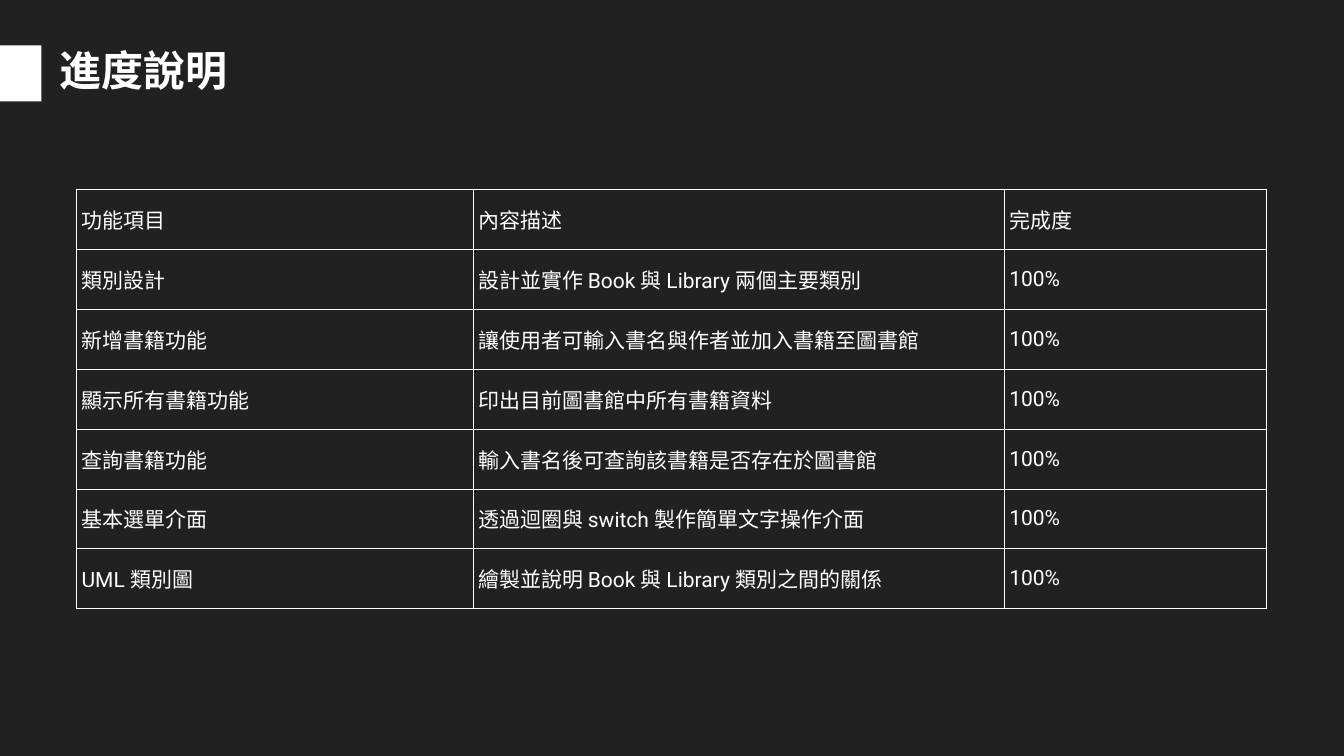
from dataclasses import dataclass

from lxml.etree import SubElement
from pptx import Presentation
from pptx.dml.color import RGBColor
from pptx.enum.shapes import MSO_SHAPE
from pptx.enum.text import MSO_ANCHOR, MSO_AUTO_SIZE
from pptx.oxml import parse_xml
from pptx.oxml.ns import nsdecls, qn
from pptx.slide import Slide
from pptx.table import _Cell
from pptx.text.text import _Paragraph
from pptx.util import Inches, Pt

COLORS = {"background": "212121", "foreground": "FFFFFF"}
CJK_FONT = "Noto Sans CJK SC"
COLUMN_WIDTHS = (7.87, 10.54, 5.2)
ROW_HEIGHT = 1.19
HEADERS = ("功能項目", "內容描述", "完成度")


@dataclass(frozen=True)
class Feature:
    """One feature of the project and its progress."""

    name: str
    description: str
    progress: str = "100%"


FEATURES = (
    Feature("類別設計", "設計並實作 Book 與 Library 兩個主要類別"),
    Feature("新增書籍功能", "讓使用者可輸入書名與作者並加入書籍至圖書館"),
    Feature("顯示所有書籍功能", "印出目前圖書館中所有書籍資料"),
    Feature("查詢書籍功能", "輸入書名後可查詢該書籍是否存在於圖書館"),
    Feature("基本選單介面", "透過迴圈與 switch 製作簡單文字操作介面"),
    Feature("UML 類別圖", "繪製並說明 Book 與 Library 類別之間的關係"),
)


def color(name: str) -> RGBColor:
    """Return a named colour."""
    return RGBColor.from_string(COLORS[name])


def format_text(paragraph: _Paragraph, size: int, font_name: str, bold: bool = False) -> None:
    """Apply the slide's text style to every run."""
    for run in paragraph.runs:
        font = run.font
        font.size, font.name, font.bold = Pt(size), font_name, bold
        font.color.rgb = color("foreground")
        SubElement(run._r.get_or_add_rPr(), qn("a:ea"), typeface=CJK_FONT)


def add_accent(slide: Slide) -> None:
    """Draw the block at the left edge beside the title."""
    shape = slide.shapes.add_shape(
        MSO_SHAPE.RECTANGLE, Inches(0), Inches(0.9), Inches(0.82), Inches(1.11)
    )
    shape.shadow.inherit = False
    shape.fill.solid()
    shape.fill.fore_color.rgb = color("foreground")
    shape.line.fill.background()


def add_title(slide: Slide, text: str) -> None:
    """Draw the slide title."""
    shape = slide.shapes.add_textbox(Inches(1.12), Inches(0.94), Inches(3.48), Inches(1.02))
    text_frame = shape.text_frame
    text_frame.text = text
    text_frame.word_wrap = False
    text_frame.auto_size = MSO_AUTO_SIZE.SHAPE_TO_FIT_TEXT
    text_frame.vertical_anchor = MSO_ANCHOR.MIDDLE
    text_frame.margin_left = text_frame.margin_right = Inches(0.06)
    text_frame.margin_top = text_frame.margin_bottom = Inches(0.06)
    paragraph = text_frame.paragraphs[0]
    paragraph.line_spacing = 0.9
    format_text(paragraph, 60, CJK_FONT, bold=True)


def add_borders(cell: _Cell) -> None:
    """Outline a cell on all four sides."""
    properties = cell._tc.get_or_add_tcPr()
    for index, side in enumerate(("lnL", "lnR", "lnT", "lnB")):
        border = parse_xml(
            f'<a:{side} {nsdecls("a")} w="{Pt(1)}"><a:solidFill>'
            f'<a:srgbClr val="{COLORS["foreground"]}"/></a:solidFill></a:{side}>'
        )
        properties.insert(index, border)


def fill_cell(cell: _Cell, text: str) -> None:
    """Write and style one table cell."""
    cell.text_frame.text = text
    cell.vertical_anchor = MSO_ANCHOR.MIDDLE
    cell.fill.background()
    add_borders(cell)
    format_text(cell.text_frame.paragraphs[0], 30, "Roboto")


def add_progress_table(slide: Slide) -> None:
    """Draw the table of features and progress."""
    rows = [HEADERS] + [(item.name, item.description, item.progress) for item in FEATURES]
    table = slide.shapes.add_table(
        len(rows), len(HEADERS), Inches(1.52), Inches(3.75),
        Inches(sum(COLUMN_WIDTHS)), Inches(ROW_HEIGHT * len(rows)),
    ).table
    table.first_row = table.horz_banding = False
    for column, width in zip(table.columns, COLUMN_WIDTHS):
        column.width = Inches(width)
    for row, texts in zip(table.rows, rows):
        row.height = Inches(ROW_HEIGHT)
        for cell, text in zip(row.cells, texts):
            fill_cell(cell, text)


def main() -> None:
    """Build and save the progress slide."""
    presentation = Presentation()
    presentation.slide_width = Inches(26.67)
    presentation.slide_height = Inches(15)
    slide = presentation.slides.add_slide(presentation.slide_layouts[6])
    slide.background.fill.solid()
    slide.background.fill.fore_color.rgb = color("background")
    add_title(slide, "進度說明")
    add_accent(slide)
    add_progress_table(slide)
    presentation.save("out.pptx")


if __name__ == "__main__":
    main()
